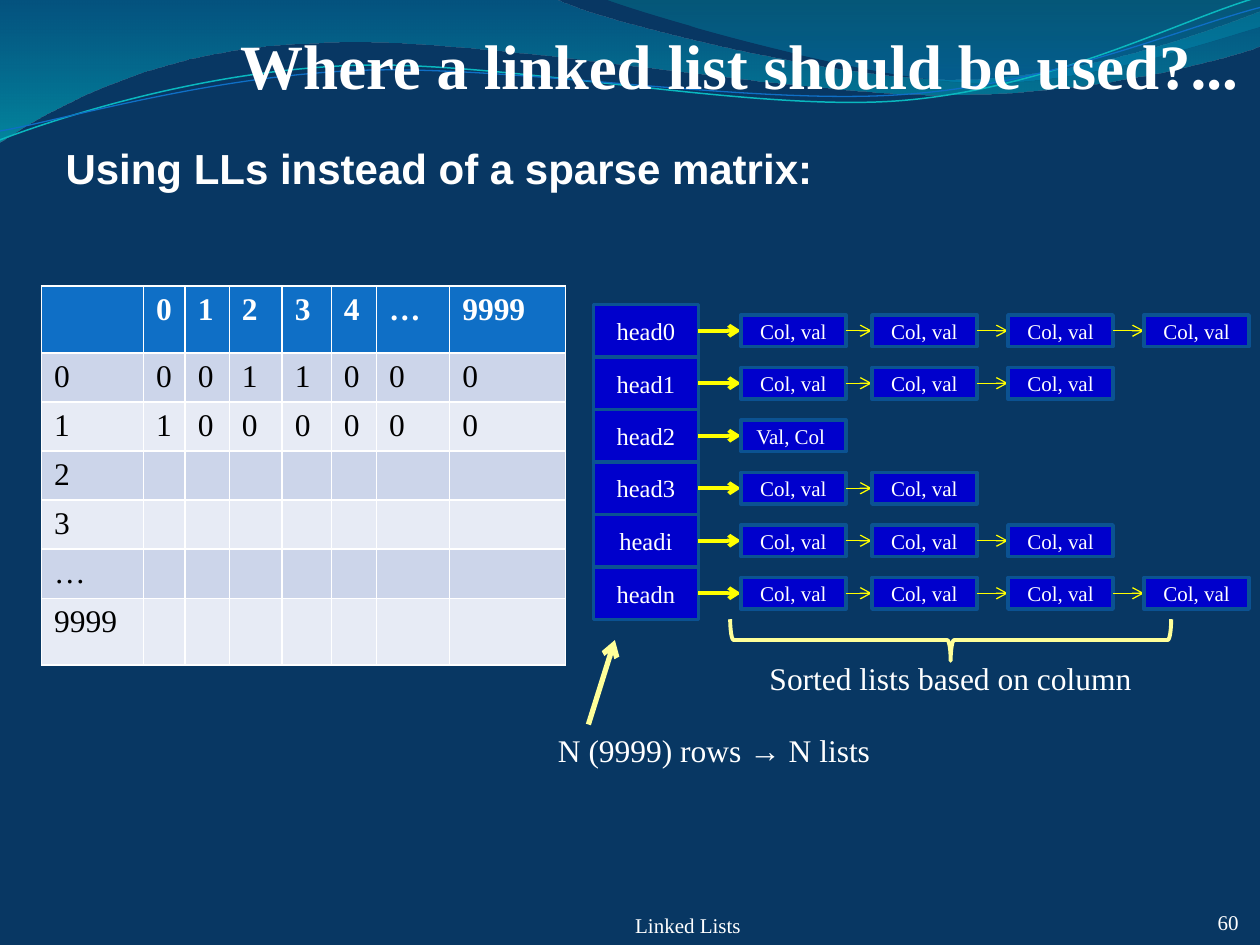
"""Build a slide that shows linked lists in place of a sparse matrix."""
from math import cos, radians, sin

from lxml import etree
from pptx import Presentation
from pptx.dml.color import RGBColor
from pptx.enum.shapes import MSO_CONNECTOR, MSO_SHAPE
from pptx.enum.text import MSO_ANCHOR, MSO_AUTO_SIZE, PP_ALIGN
from pptx.oxml.ns import qn
from pptx.util import Inches, Pt

LEFT, MID, RIGHT = PP_ALIGN.LEFT, PP_ALIGN.CENTER, PP_ALIGN.RIGHT
TOP, CENTER, BOTTOM = MSO_ANCHOR.TOP, MSO_ANCHOR.MIDDLE, MSO_ANCHOR.BOTTOM
FIXED = MSO_AUTO_SIZE.NONE
RECT, BRACE = MSO_SHAPE.RECTANGLE, MSO_SHAPE.RIGHT_BRACE
STRAIGHT = MSO_CONNECTOR.STRAIGHT

COLORS = {
    "back": "083763", "white": "FFFFFF", "black": "000000",
    "header": "0F6FC6", "odd": "CCD5EA", "even": "E7EBF5",
    "box": "0000CC", "edge": "0B5292", "arrow": "FFFF00", "pale": "FFFF99",
    "aqua": "0AB8BF", "deep": "0074A1", "cyan": "00C6CF",
    "teal": "00A1A9", "sky": "008BBF",
}
SERIF, SANS = "Times New Roman", "Arial"
INSET = (0.1, 0.05, 0.1, 0.05)
TILT = 2.7

BANDS = [
    ([(0, 0), (4.4, -0.01), (4.76, 0.17, 6.64, 0.63, 7.58, 0.63),
      (8.53, 0.63, 9.58, 0.26, 10, 0.09), (10.01, 0.36),
      (9.83, 0.44, 8.7, 0.76, 7.46, 0.75),
      (6.22, 0.75, 3.82, 0.28, 2.57, 0.34),
      (1.29, 0.36, 0.46, 0.83, -0.01, 1.13)],
     [(0, "deep", 45), (1, "cyan", 55)]),
    ([(4.79, -0.01), (5.09, 0.11, 6.82, 0.62, 7.69, 0.65),
      (8.56, 0.69, 9.61, 0.32, 10, 0.21), (10, 0)],
     [(0, "teal", 30), (0.8, "sky", 45)]),
]
CURVES = [
    ([(0, 1.11), (0.48, 0.93, 1.58, 0.57, 2.77, 0.52),
      (3.95, 0.47, 5.93, 0.89, 7.13, 0.8),
      (8.33, 0.71, 9.38, 0.15, 9.98, -0.02)], (4.99, 0.57), "aqua", 0.85),
    ([(0, 1.04), (0.47, 0.96, 1.64, 0.61, 2.83, 0.56),
      (4.03, 0.51, 5.97, 0.84, 7.17, 0.75),
      (8.36, 0.67, 9.41, 0.21, 10, 0.06)], (5, 0.59), "header", 0.75),
]
COLS = [0.81, 0.33, 0.35, 0.42, 0.39, 0.36, 0.58, 0.92]
ROWS = [0.53] + [0.39] * 5 + [0.53]
CELLS = [
    ["", "0", "1", "2", "3", "4", "…", "9999"],
    ["0", "0", "0", "1", "1", "0", "0", "0"],
    ["1", "1", "0", "0", "0", "0", "0", "0"],
] + [[name] + [""] * 7 for name in ("2", "3", "…", "9999")]
NODE = "Col, val"
LISTS = [
    ("head0", [NODE] * 4), ("head1", [NODE] * 3), ("head2", ["Val, Col "]),
    ("head3", [NODE] * 2), ("headi", [NODE] * 3), ("headn", [NODE] * 4),
]
STEP = 5 / 12
HEAD_X, HEAD_Y = 4.71, 5.8 * STEP
NODE_X = [5.88, 6.92, 8, 9.08]
WIDE, TALL = 2 * STEP, 0.25


def rgb(name):
    return RGBColor.from_string(COLORS[name])


def write(frame, text, size=18, font=SERIF, color="white", bold=False,
          align=LEFT, anchor=TOP, inset=INSET):
    frame.word_wrap = True
    frame.auto_size = FIXED
    frame.vertical_anchor = anchor
    (frame.margin_left, frame.margin_top,
     frame.margin_right, frame.margin_bottom) = map(Inches, inset)
    para = frame.paragraphs[0]
    para.alignment = align
    run = para.add_run()
    run.text = text
    run.font.size, run.font.name, run.font.bold = Pt(size), font, bold
    run.font.color.rgb = rgb(color)
    return para


def pairs(part):
    return list(zip(part[::2], part[1::2]))


def turn(part, hub):
    c, s = cos(radians(TILT)), sin(radians(TILT))
    moved = []
    for x, y in pairs(part):
        dx, dy = x - hub[0], y - hub[1]
        moved += [hub[0] + dx * c - dy * s, hub[1] + dx * s + dy * c]
    return moved


class Deck:
    def __init__(self):
        self.file = Presentation()
        self.file.slide_width, self.file.slide_height = Inches(10), Inches(7.5)
        self.slide = self.file.slides.add_slide(self.file.slide_layouts[1])
        self.shapes = self.slide.shapes
        fill = self.slide.background.fill
        fill.solid()
        fill.fore_color.rgb = rgb("back")

    def place(self, holder, at, text, **style):
        holder.left, holder.top, holder.width, holder.height = map(Inches, at)
        return write(holder.text_frame, text, **style)

    def stroke(self, line, color, width):
        line.color.rgb = rgb(color)
        line.width = Pt(width)

    def outline(self, path, close, level):
        points = [(Inches(x), Inches(y)) for part in path for x, y in pairs(part)]
        pen = self.shapes.build_freeform(*points[0], scale=1.0)
        pen.add_line_segments(points[1:], close=close)
        shape = pen.convert_to_shape()
        shape.shadow.inherit = False
        lines = iter(list(shape._element.iter(qn("a:lnTo"))))
        for part in path[1:]:
            first = next(lines)
            if len(part) == 6:
                first.tag = qn("a:cubicBezTo")
                for line in (next(lines), next(lines)):
                    first.append(line[0])
                    line.getparent().remove(line)
        self.shapes._spTree.insert(2 + level, shape._element)
        return shape

    def band(self, path, stops, level):
        shape = self.outline(path, True, level)
        shape.line.fill.background()
        shape.fill.gradient()
        shape.fill.gradient_angle = 270
        for stop, (spot, color, alpha) in zip(shape.fill.gradient_stops, stops):
            stop.position = spot
            stop.color.rgb = rgb(color)
        tags = shape._element.spPr.iter(qn("a:srgbClr"))
        for tag, (spot, color, alpha) in zip(tags, stops):
            etree.SubElement(tag, qn("a:alpha"), val=str(alpha * 1000))

    def curve(self, path, hub, color, width, level):
        shape = self.outline([turn(part, hub) for part in path], False, level)
        shape.rotation = 360 - TILT
        shape.fill.background()
        self.stroke(shape.line, color, width)

    def label(self, at, text, **style):
        write(self.shapes.add_textbox(*map(Inches, at)).text_frame, text, **style)

    def box(self, at, text, size):
        shape = self.shapes.add_shape(RECT, *map(Inches, at))
        shape.shadow.inherit = False
        shape.fill.solid()
        shape.fill.fore_color.rgb = rgb("box")
        self.stroke(shape.line, "edge", 2)
        write(shape.text_frame, text, size=size, align=MID, anchor=CENTER)

    def brace(self, at):
        shape = self.shapes.add_shape(BRACE, *map(Inches, at))
        shape.rotation = 90
        shape.shadow.inherit = False
        shape.fill.background()
        self.stroke(shape.line, "pale", 2.25)

    def arrow(self, ends, color, width):
        link = self.shapes.add_connector(STRAIGHT, *map(Inches, ends))
        self.stroke(link.line, color, width)
        etree.SubElement(link.line._get_or_add_ln(), qn("a:tailEnd"), type="arrow")
        etree.SubElement(link._element.spPr, qn("a:effectLst"))

    def table(self, x, y):
        size = map(Inches, (x, y, sum(COLS), sum(ROWS)))
        grid = self.shapes.add_table(len(ROWS), len(COLS), *size).table
        for col, width in zip(grid.columns, COLS):
            col.width = Inches(width)
        for i, height in enumerate(ROWS):
            grid.rows[i].height = Inches(height)
            shade = "header" if i == 0 else "odd" if i % 2 else "even"
            for cell, text in zip(grid.rows[i].cells, CELLS[i]):
                cell.fill.solid()
                cell.fill.fore_color.rgb = rgb(shade)
                if text:
                    write(cell.text_frame, text, bold=i == 0,
                          color="black" if i else "white")
                else:
                    para = cell.text_frame.paragraphs[0]._p
                    end = etree.SubElement(para, qn("a:endParaRPr"), sz="1800")
                    etree.SubElement(end, qn("a:latin"), typeface=SERIF)

    def chain(self, row, head, nodes):
        y = HEAD_Y + row * STEP
        mid = y + STEP / 2
        self.box((HEAD_X, y, WIDE, STEP), head, 14)
        start = HEAD_X + WIDE
        for i, (x, text) in enumerate(zip(NODE_X, nodes)):
            self.arrow((start, mid, x, mid), "arrow", 0.75 if i else 2.25)
            self.box((x, mid - TALL / 2, WIDE, TALL), text, 12)
            start = x + WIDE


def main():
    deck = Deck()
    title, body = deck.slide.placeholders
    for level, (path, stops) in enumerate(BANDS):
        deck.band(path, stops, level)
    for level, (path, hub, color, width) in enumerate(CURVES, len(BANDS)):
        deck.curve(path, hub, color, width, level)
    deck.place(title, (0.5, 0.08, 9.33, 0.73), "Where a linked list should be used?...",
               size=36, bold=True, align=RIGHT, anchor=BOTTOM, inset=(0, 0.05, 0, 0))
    para = deck.place(body, (0.42, 1.08, 9, 0.67), "Using LLs instead of a sparse matrix:",
                      size=24, font=SANS, bold=True)
    para.space_before = Pt(4.8)
    props = para._p.get_or_add_pPr()
    props.set("marL", str(Inches(0.38)))
    props.set("indent", str(Inches(-0.38)))
    etree.SubElement(props, qn("a:buNone"))
    deck.table(0.33, 2.27)
    foot = {"size": 12, "anchor": BOTTOM, "inset": (0, 0, 0, 0)}
    deck.label((9.25, 7.17, 0.58, 0.25), "60", align=RIGHT, **foot)
    deck.label((3.92, 7.17, 3.08, 0.27), "Linked Lists", align=MID, **foot)
    for row, (head, nodes) in enumerate(LISTS):
        deck.chain(row, head, nodes)
    deck.label((4.33, 5.75, 3, 0.4), "N (9999) rows → N lists")
    deck.arrow((4.67, 5.75, 4.88, 5.08), "pale", 3)
    deck.label((5.88, 5.18, 3.33, 0.4), "Sorted lists based on column", align=MID)
    deck.brace((7.38, 3.33, 0.33, 3.5))
    deck.file.save("out.pptx")


if __name__ == "__main__":
    main()
